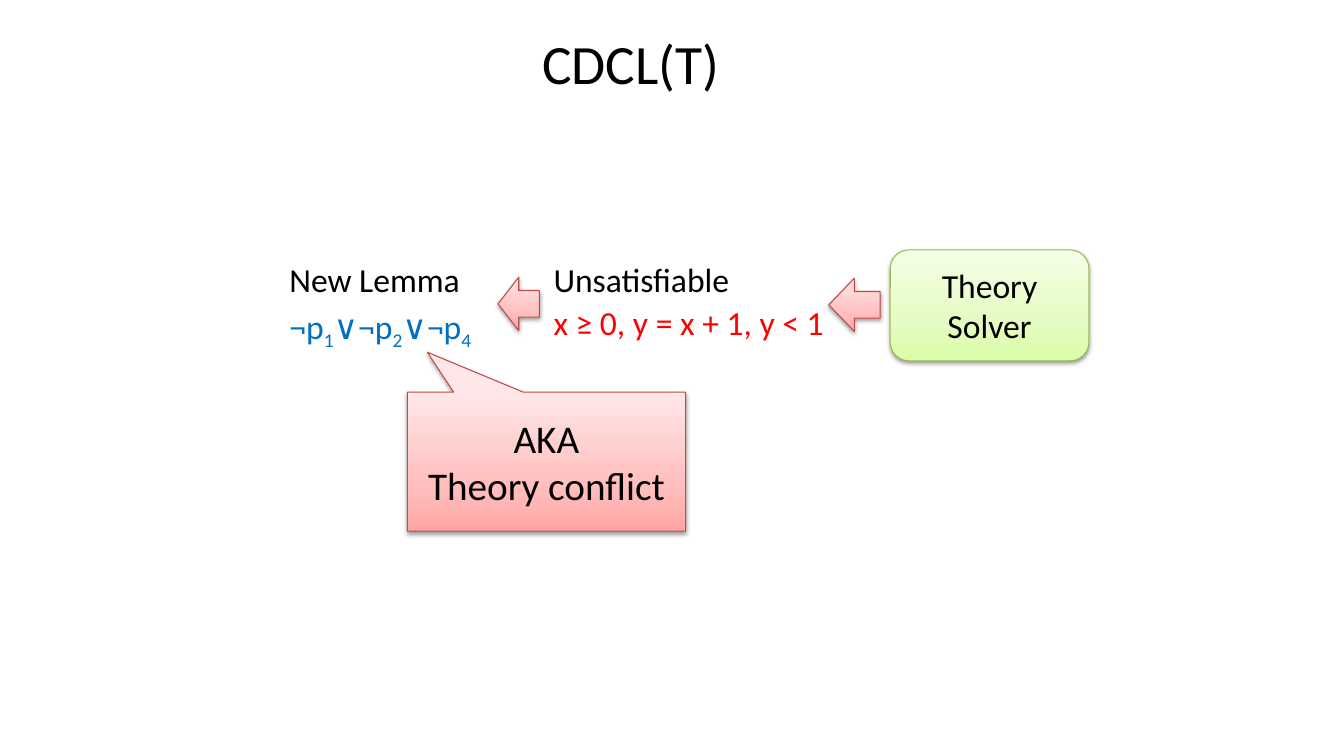
from copy import deepcopy
from dataclasses import dataclass

from lxml import etree
from pptx import Presentation
from pptx.dml.color import RGBColor
from pptx.enum.shapes import MSO_SHAPE
from pptx.enum.text import MSO_ANCHOR, MSO_AUTO_SIZE, PP_ALIGN
from pptx.oxml.ns import qn
from pptx.util import Emu, Pt

FONT = "Calibri"
BLACK = RGBColor(0x00, 0x00, 0x00)
RED = RGBColor(0xFF, 0x00, 0x00)
BLUE = RGBColor(0x00, 0x70, 0xC0)
GREEN_LINE = RGBColor(0x98, 0xB9, 0x55)
GREENS = (RGBColor(0xDA, 0xFD, 0xA7), RGBColor(0xE4, 0xFC, 0xC2), RGBColor(0xF5, 0xFF, 0xE7))
PINK_LINE = RGBColor(0xBF, 0x4C, 0x48)
PINKS = (RGBColor(0xFF, 0xA6, 0xA5), RGBColor(0xFF, 0xC0, 0xBF), RGBColor(0xFF, 0xE7, 0xE7))
STOPS = (0, 0.35, 1)


def px(n: int) -> Emu:
    """Convert px, at 100 to the inch."""
    return Emu(n * 9144)


@dataclass
class Block:
    kind: MSO_SHAPE
    box: tuple[int, int, int, int]
    shades: tuple[RGBColor, ...] = PINKS
    line: RGBColor = PINK_LINE
    lines: tuple[str, ...] = ()
    size: int = 24
    adjust: tuple[float, ...] = ()


@dataclass
class Note:
    box: tuple[int, int, int, int]
    heading: str
    formula: tuple[str, ...]  # normal text and subscripts by turns
    color: RGBColor


SOLVER = Block(MSO_SHAPE.ROUNDED_RECTANGLE, (883, 248, 197, 110), GREENS, GREEN_LINE,
               ("Theory", "Solver"))
FROM_SOLVER = Block(MSO_SHAPE.LEFT_ARROW, (822, 276, 51, 53))
TO_LEMMA = Block(MSO_SHAPE.LEFT_ARROW, (494, 275, 41, 53))
CALLOUT = Block(MSO_SHAPE.RECTANGULAR_CALLOUT, (404, 389, 276, 138),
                lines=("AKA", "Theory conflict"), size=28, adjust=(-0.428, -0.787))
CONFLICT = Note((549, 261, 273, 81), "Unsatisfiable", ("x ≥ 0, y = x + 1, y < 1",), RED)
LEMMA = Note((287, 261, 273, 170), "New Lemma", ("¬p", "1", "∨¬p", "2", "∨¬p", "4"), BLUE)


def style(p, size: float, color: RGBColor) -> None:
    p.font.name = FONT
    p.font.size = Pt(size)
    p.font.color.rgb = color


def add_shadow(sp) -> None:
    sp.shadow.inherit = False
    effects = sp._element.spPr.find(qn("a:effectLst"))
    shadow = etree.SubElement(effects, qn("a:outerShdw"), blurRad=str(Pt(3.1)),
                              dist=str(Pt(1.6)), dir="5400000", rotWithShape="0")
    color = etree.SubElement(shadow, qn("a:srgbClr"), val=str(BLACK))
    etree.SubElement(color, qn("a:alpha"), val="38000")


def add_gradient(sp, shades: tuple[RGBColor, ...]) -> None:
    sp.fill.gradient()
    sp.fill.gradient_angle = 90
    stops = sp._element.spPr.find(qn("a:gradFill")).find(qn("a:gsLst"))
    stops.append(deepcopy(stops[0]))
    for stop, shade, position in zip(sp.fill.gradient_stops, shades, STOPS):
        stop.color.rgb = shade
        stop.position = position


def add_block(s, block: Block) -> None:
    sp = s.shapes.add_shape(block.kind, *map(px, block.box))
    for i, value in enumerate(block.adjust):
        sp.adjustments[i] = value
    add_gradient(sp, block.shades)
    sp.line.color.rgb = block.line
    sp.line.width = Pt(0.75)
    add_shadow(sp)
    tf = sp.text_frame
    tf.vertical_anchor = MSO_ANCHOR.MIDDLE
    tf.margin_left = tf.margin_right = px(12)
    tf.margin_top = tf.margin_bottom = px(6)
    for i, text in enumerate(block.lines):
        p = tf.add_paragraph() if i else tf.paragraphs[0]
        p.text = text
        p.alignment = PP_ALIGN.CENTER
        style(p, block.size, BLACK)


def add_note(s, note: Note) -> None:
    tf = s.shapes.add_textbox(*map(px, note.box)).text_frame
    tf.word_wrap = True
    tf.auto_size = MSO_AUTO_SIZE.SHAPE_TO_FIT_TEXT
    tf.margin_left = tf.margin_right = tf.margin_top = tf.margin_bottom = 0
    rows = (((note.heading,), BLACK), (note.formula, note.color))
    for i, (parts, color) in enumerate(rows):
        p = tf.add_paragraph() if i else tf.paragraphs[0]
        p.line_spacing = 0.9
        p.space_before = Pt(4.8)
        style(p, 24, color)
        # Hanging indent
        pPr = p._p.get_or_add_pPr()
        pPr.set("marL", str(px(42)))
        pPr.set("indent", str(px(-42)))
        for j, part in enumerate(parts):
            r = p.add_run()
            r.text = part
            if j % 2:
                r.font._element.set("baseline", "-25000")


def main() -> None:
    prs = Presentation()
    prs.slide_width, prs.slide_height = px(1333), px(750)
    s = prs.slides.add_slide(prs.slide_layouts[5])

    # Title
    title = s.shapes.title
    title.left, title.top, title.width, title.height = map(px, (167, 25, 917, 73))
    title.text_frame.text = "CDCL(T)"
    title.text_frame.vertical_anchor = MSO_ANCHOR.MIDDLE
    p = title.text_frame.paragraphs[0]
    p.alignment = PP_ALIGN.CENTER
    style(p, 39.6, BLACK)

    # Flow from the solver to the lemma
    add_block(s, SOLVER)
    add_block(s, FROM_SOLVER)
    add_note(s, CONFLICT)
    add_block(s, TO_LEMMA)
    add_note(s, LEMMA)

    # Remark on the lemma
    add_block(s, CALLOUT)

    prs.save("out.pptx")


if __name__ == "__main__":
    main()
